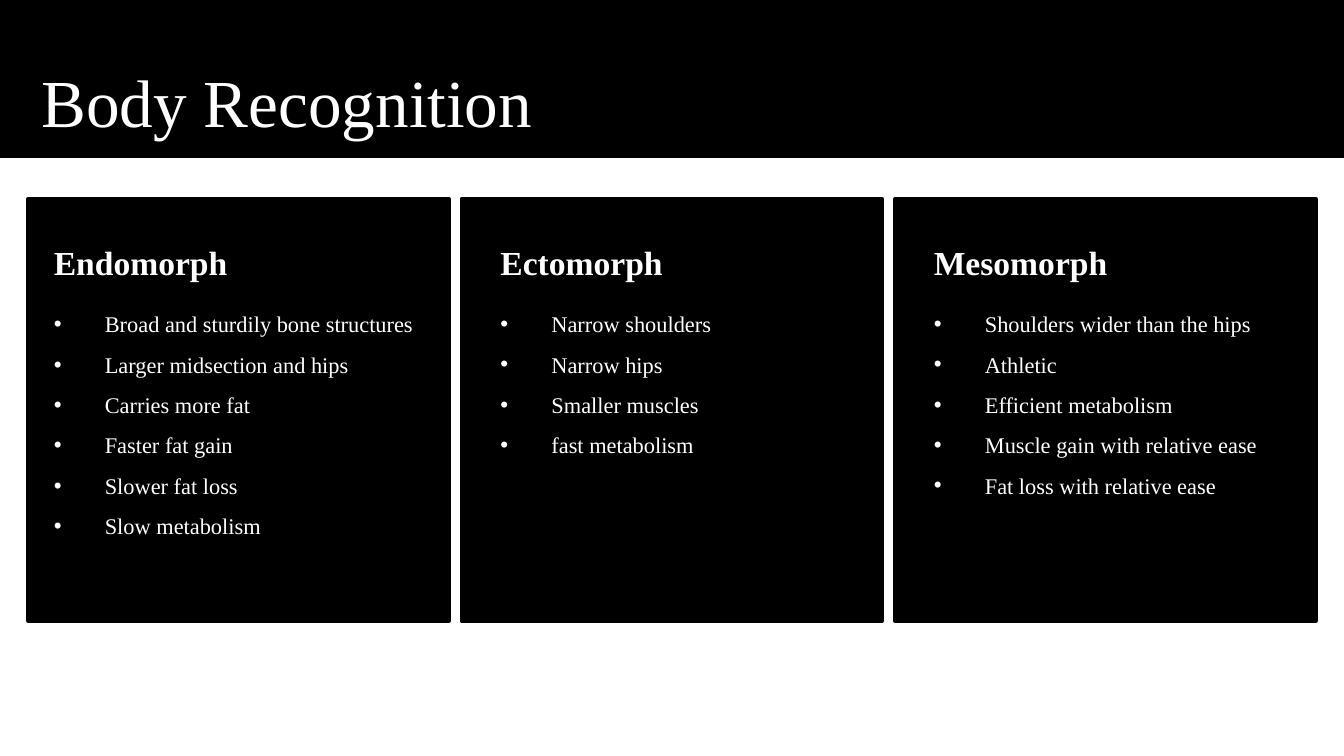
from dataclasses import dataclass

from lxml.etree import SubElement
from pptx import Presentation
from pptx.dml.color import RGBColor
from pptx.enum.shapes import MSO_SHAPE
from pptx.enum.text import MSO_ANCHOR, MSO_AUTO_SIZE, PP_ALIGN
from pptx.oxml.ns import qn
from pptx.util import Inches, Pt

BLACK = RGBColor(0, 0, 0)
WHITE = RGBColor(255, 255, 255)
FONT = "Times New Roman"
BULLET_FONT = "Arial"

SLIDE_WIDTH = 10
PANEL_LEFT, PANEL_TOP = 0.21, 1.48
PANEL_WIDTH, PANEL_HEIGHT = 3.13, 3.14
TEXT_TOP, TEXT_WIDTH, TEXT_HEIGHT = 1.6, 4.3, 4.12
BULLET_INDENT = 0.38


@dataclass(frozen=True)
class BodyType:
    name: str
    traits: tuple[str, ...]
    text_inset: float = 0.19


BODY_TYPES = (
    BodyType("Endomorph", (
        "Broad and sturdily bone structures",
        "Larger midsection and hips",
        "Carries more fat",
        "Faster fat gain",
        "Slower fat loss",
        "Slow metabolism",
    ), text_inset=0.09),
    BodyType("Ectomorph", (
        "Narrow shoulders",
        "Narrow hips",
        "Smaller muscles",
        "fast metabolism",
    )),
    BodyType("Mesomorph", (
        "Shoulders wider than the hips",
        "Athletic",
        "Efficient metabolism",
        "Muscle gain with relative ease",
        "Fat loss with relative ease",
    )),
)


def add_panel(slide, left: float, top: float, width: float, height: float) -> None:
    panel = slide.shapes.add_shape(
        MSO_SHAPE.RECTANGLE, Inches(left), Inches(top), Inches(width), Inches(height))
    panel.shadow.inherit = False
    panel.fill.solid()
    panel.fill.fore_color.rgb = BLACK
    panel.line.color.rgb = BLACK
    panel.line.width = Pt(2)


def place(shape, left: float, top: float, width: float, height: float) -> None:
    shape.left, shape.top = Inches(left), Inches(top)
    shape.width, shape.height = Inches(width), Inches(height)


def bring_to_front(slide, shape) -> None:
    slide.shapes.element.append(shape.element)


def set_font(paragraph, size: int, bold: bool = False) -> None:
    paragraph.font.name = FONT
    paragraph.font.size = Pt(size)
    paragraph.font.bold = bold
    paragraph.font.color.rgb = WHITE


def set_bullet(paragraph, char: str | None) -> None:
    """Give the paragraph a hanging bullet, or none at all."""
    indent = Inches(BULLET_INDENT) if char else 0
    properties = paragraph._p.get_or_add_pPr()
    properties.set("marL", str(indent))
    properties.set("indent", str(-indent))
    if char:
        SubElement(properties, qn("a:buFont")).set("typeface", BULLET_FONT)
        SubElement(properties, qn("a:buChar")).set("char", char)
    else:
        SubElement(properties, qn("a:buNone"))


def write_body_type(text_frame, body_type: BodyType) -> None:
    text_frame.word_wrap = True
    text_frame.auto_size = MSO_AUTO_SIZE.NONE
    text_frame.text = "\n".join((body_type.name, *body_type.traits))
    heading, *traits = text_frame.paragraphs
    for paragraph in text_frame.paragraphs:
        paragraph.line_spacing = 1.5
        paragraph.space_before = Pt(0)
        paragraph.space_after = Pt(0)
    heading.space_after = Pt(8)
    set_bullet(heading, None)
    set_font(heading, 18, bold=True)
    for trait in traits:
        set_bullet(trait, "•")
        set_font(trait, 12)


def main() -> None:
    presentation = Presentation()
    presentation.slide_width = Inches(SLIDE_WIDTH)
    presentation.slide_height = Inches(SLIDE_WIDTH * 9 / 16)
    slide = presentation.slides.add_slide(presentation.slide_layouts[1])
    title, body = slide.placeholders

    add_panel(slide, 0, 0, SLIDE_WIDTH, 1.16)
    place(title, 0.21, 0.33, 5.33, 0.84)
    title.text_frame.text = "Body Recognition"
    title.text_frame.vertical_anchor = MSO_ANCHOR.MIDDLE
    title.text_frame.auto_size = MSO_AUTO_SIZE.NONE
    heading = title.text_frame.paragraphs[0]
    heading.alignment = PP_ALIGN.LEFT
    set_font(heading, 36)
    bring_to_front(slide, title)

    # The outer margins are equal, so the last panel mirrors the first.
    step = (SLIDE_WIDTH - 2 * PANEL_LEFT - PANEL_WIDTH) / (len(BODY_TYPES) - 1)
    panel_lefts = [PANEL_LEFT + i * step for i in range(len(BODY_TYPES))]
    for left in panel_lefts:
        add_panel(slide, left, PANEL_TOP, PANEL_WIDTH, PANEL_HEIGHT)

    bring_to_front(slide, body)
    for i, (left, body_type) in enumerate(zip(panel_lefts, BODY_TYPES)):
        column = body if i == 0 else slide.shapes.add_textbox(0, 0, 0, 0)
        place(column, left + body_type.text_inset, TEXT_TOP, TEXT_WIDTH, TEXT_HEIGHT)
        write_body_type(column.text_frame, body_type)

    presentation.save("out.pptx")


if __name__ == "__main__":
    main()
